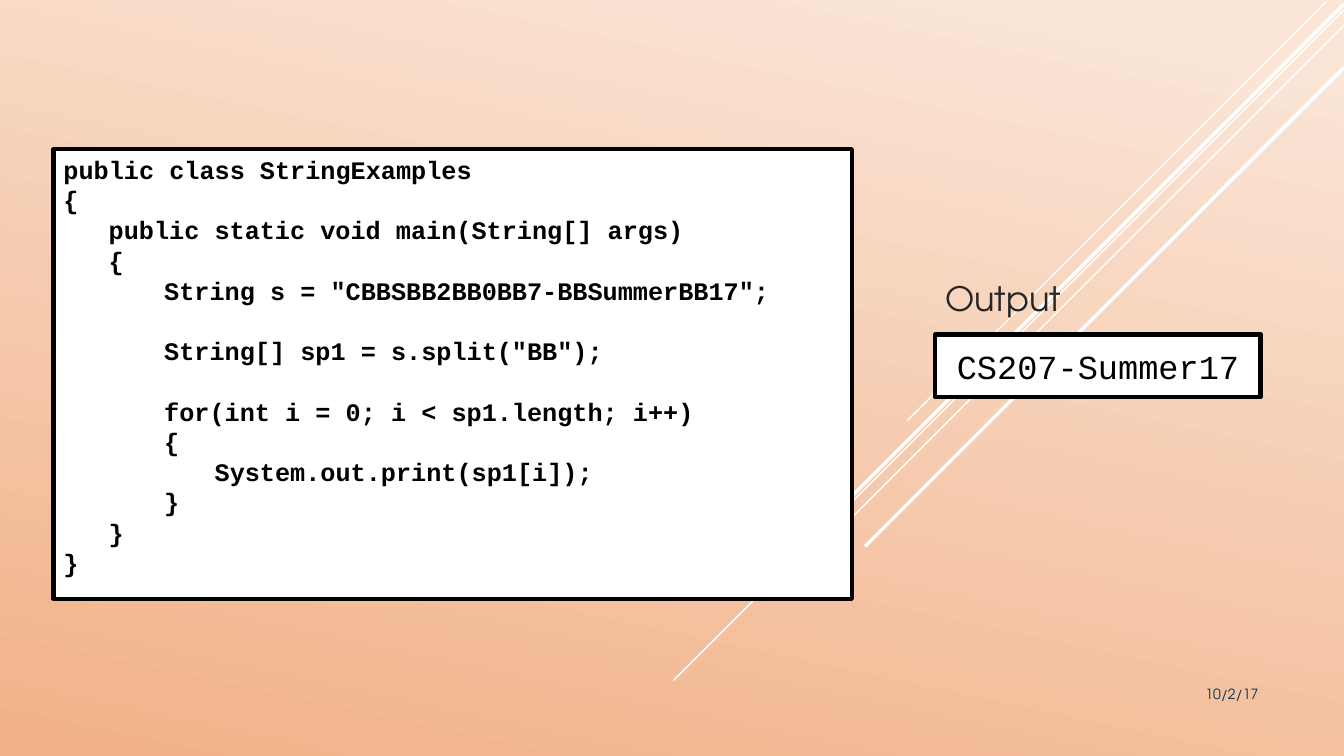
from dataclasses import dataclass

import pptx
import pptx.dml.color
import pptx.enum.shapes
import pptx.enum.text
import pptx.oxml.ns
import pptx.util
from lxml import etree
from pptx.util import Cm, Pt

RGB = pptx.dml.color.RGBColor.from_string
ALIGN = pptx.enum.text.PP_ALIGN
ANCHOR = pptx.enum.text.MSO_ANCHOR


@dataclass(frozen=True)
class Theme:
    sky: str = "FAE5D7"
    ground: str = "F1B187"
    white: str = "FFFFFF"
    black: str = "000000"
    label: str = "262626"
    date: str = "0A304A"
    code_font: str = "Courier New"
    text_font: str = "TeX Gyre Adventor"
    code_size: float = 18
    code_leading: float = 21.6
    large_size: float = 24
    date_size: float = 10


THEME = Theme()

# right end x, right end y, horizontal run (cm), width (pt)
RAYS = [
    (33.43, 0.03, 10.57, 1),
    (33.87, 0.25, 16.9, 1),
    (33.87, 0.64, 13.77, 1),
    (33.87, 0.1, 13.49, 2.5),
    (33.87, 1.7, 12.07, 2.5),
]

INDENTS = [0, 1.14, 2.54, 3.81]

# indent level, empty lines above, code
CODE = [
    (0, 0, "public class StringExamples"),
    (0, 0, "{"),
    (1, 0, "public static void main(String[] args)"),
    (1, 0, "{"),
    (2, 0, 'String s = "CBBSBB2BB0BB7-BBSummerBB17";'),
    (2, 1, 'String[] sp1 = s.split("BB");'),
    (2, 1, "for(int i = 0; i < sp1.length; i++)"),
    (2, 0, "{"),
    (3, 0, "System.out.print(sp1[i]);"),
    (2, 0, "}"),
    (1, 0, "}"),
    (0, 0, "}"),
]


def paint_background(page):
    fill = page.background.fill
    fill.gradient()
    fill.gradient_angle = 258
    stops = [(0.07, THEME.sky), (1, THEME.ground)]
    for stop, (position, color) in zip(fill.gradient_stops, stops):
        stop.position = position
        stop.color.rgb = RGB(color)


def add_ray(page, right, top, run, width):
    """Draw a white line falling to the left at 45 degrees."""
    ray = page.shapes.add_connector(
        pptx.enum.shapes.MSO_CONNECTOR.STRAIGHT,
        Cm(right), Cm(top), Cm(right - run), Cm(top + run))
    ray.line.color.rgb = RGB(THEME.white)
    ray.line.width = Pt(width)
    etree.SubElement(ray._element.spPr, pptx.oxml.ns.qn("a:effectLst"))


def write(para, text, font, size, color, align, bold=False):
    para.text = text
    para.alignment = align
    para.font.name = font
    para.font.size = Pt(size)
    para.font.bold = bold
    para.font.color.rgb = RGB(color)


def add_panel(page, left, top, width, height, anchor):
    """Add a white rectangle with a heavy black border."""
    panel = page.shapes.add_shape(
        pptx.enum.shapes.MSO_SHAPE.RECTANGLE,
        Cm(left), Cm(top), Cm(width), Cm(height))
    panel.shadow.inherit = False
    panel.fill.solid()
    panel.fill.fore_color.rgb = RGB(THEME.white)
    panel.line.color.rgb = RGB(THEME.black)
    panel.line.width = Pt(3)
    panel.text_frame.word_wrap = True
    panel.text_frame.vertical_anchor = anchor
    return panel


def add_label(page, left, top, width, height, text, size, color, align):
    box = page.shapes.add_textbox(Cm(left), Cm(top), Cm(width), Cm(height))
    box.text_frame.word_wrap = True
    para = box.text_frame.paragraphs[0]
    write(para, text, THEME.text_font, size, color, align)
    return para


def add_code(panel):
    frame = panel.text_frame
    for number, (level, gap, line) in enumerate(CODE):
        para = frame.add_paragraph() if number else frame.paragraphs[0]
        write(para, line, THEME.code_font, THEME.code_size, THEME.black,
              ALIGN.LEFT, bold=True)
        para.line_spacing = Pt(THEME.code_leading)
        para.space_before = Pt(gap * THEME.code_leading)
        para._p.get_or_add_pPr().set("marL", str(Cm(INDENTS[level])))


def main():
    deck = pptx.Presentation()
    deck.slide_width, deck.slide_height = Cm(33.87), Cm(19.05)
    page = deck.slides.add_slide(deck.slide_layouts[6])
    paint_background(page)
    for ray in RAYS:
        add_ray(page, *ray)

    add_label(page, 27.51, 17.15, 4.45, 1.02, "10/2/17",
              THEME.date_size, THEME.date, ALIGN.RIGHT)

    output = add_panel(page, 23.57, 8.43, 8.2, 1.57, ANCHOR.MIDDLE)
    write(output.text_frame.paragraphs[0], "CS207-Summer17", THEME.code_font,
          THEME.large_size, THEME.black, ALIGN.CENTER)
    heading = add_label(page, 23.57, 6.88, 4.24, 1.37, "Output",
                        THEME.large_size, THEME.label, ALIGN.JUSTIFY)
    heading.space_before = Pt(4.8)
    heading.space_after = Pt(6)

    add_code(add_panel(page, 1.35, 3.76, 20.12, 11.33, ANCHOR.TOP))
    deck.save("out.pptx")


if __name__ == "__main__":
    main()
